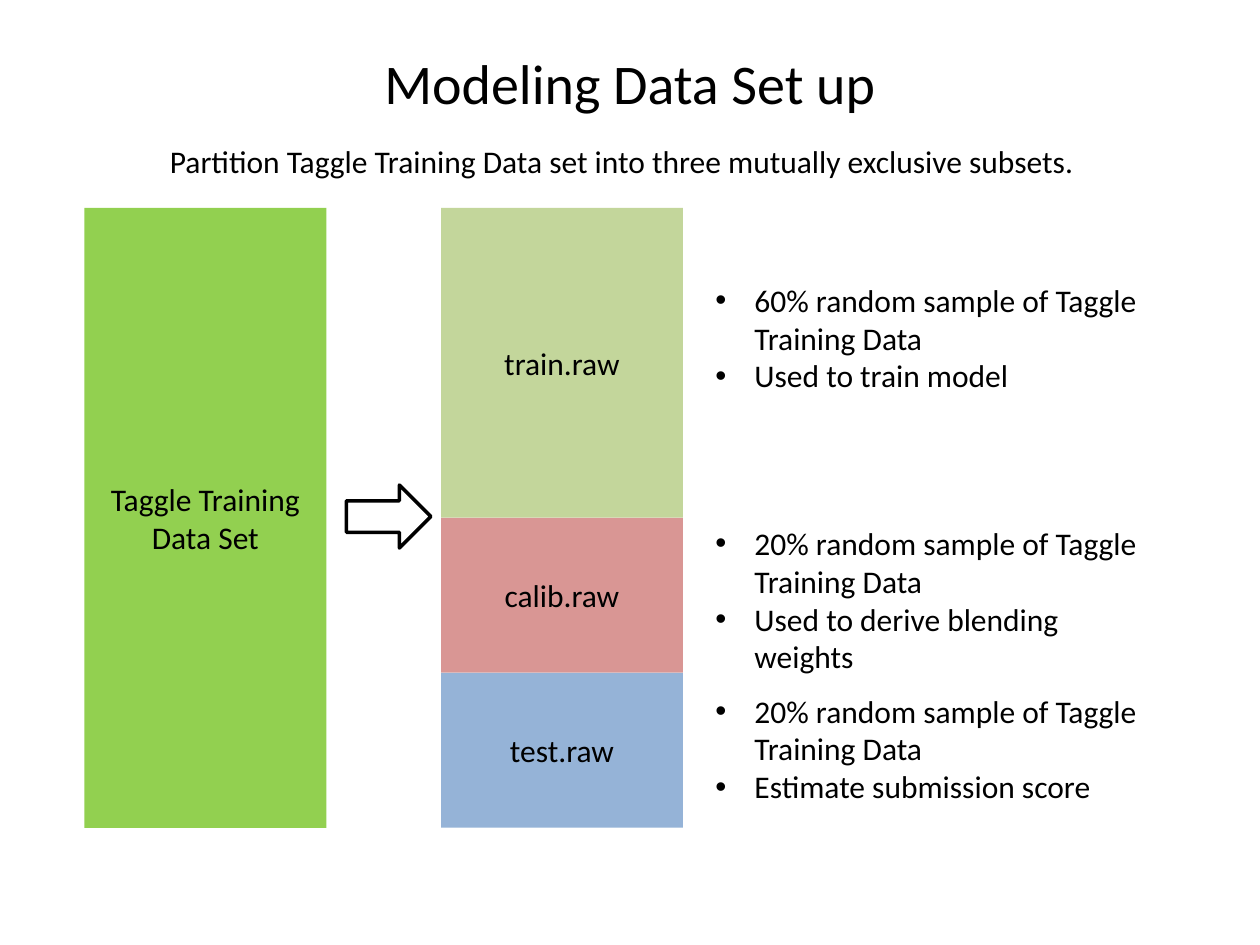
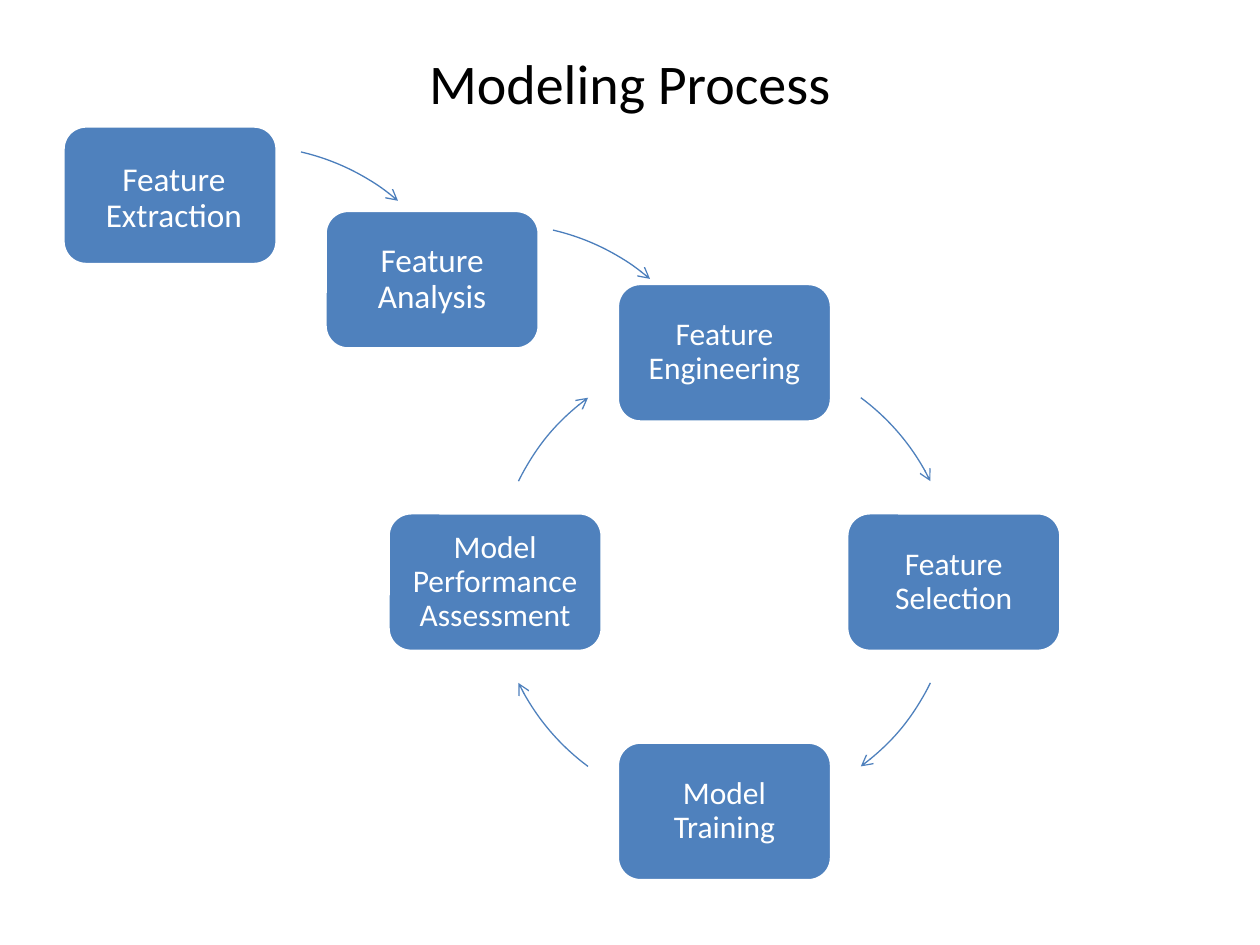
import math
from dataclasses import dataclass

import lxml.etree
import pptx
import pptx.dml.color
import pptx.enum.shapes
import pptx.enum.text
import pptx.oxml.ns
import pptx.util

PX = 9144  # EMU per px, 100 px to the inch
SHAPE = pptx.enum.shapes.MSO_SHAPE
ALIGN = pptx.enum.text.PP_ALIGN
ANCHOR = pptx.enum.text.MSO_ANCHOR

# Measures of the process diagram
STEP = (170, 110)
RADIUS = 182
SWEEP = 27.4
CYCLE_CENTER = (575, 462)


@dataclass(frozen=True)
class Theme:
    font: str = "Calibri"
    ink: str = "000000"
    paper: str = "FFFFFF"
    source: str = "92D050"
    train: str = "C3D69B"
    calib: str = "D99694"
    test: str = "95B3D7"
    step: str = "4F81BD"
    lead_arc: str = "4B7EBC"
    title_size: int = 32
    body_size: int = 18
    lead_size: int = 19


class Deck:
    """Holds the theme and the slide being drawn."""

    def __init__(self, theme):
        self.theme = theme
        self.file = pptx.Presentation()
        self.file.slide_width = 1000 * PX
        self.file.slide_height = 750 * PX
        self.slide = None

    def color(self, code):
        return pptx.dml.color.RGBColor.from_string(code)

    def add_words(self, paragraph, words, size=None, color=None, align=None):
        run = paragraph.add_run()
        run.text = words
        run.font.name = self.theme.font
        run.font.size = pptx.util.Pt(size or self.theme.body_size)
        run.font.color.rgb = self.color(color or self.theme.ink)
        paragraph.alignment = align

    def start(self, title):
        self.slide = self.file.slides.add_slide(self.file.slide_layouts[5])
        heading = self.slide.shapes.title
        heading.left, heading.top, heading.width, heading.height = (
            n * PX for n in (50, 30, 900, 70))
        heading.text_frame.vertical_anchor = ANCHOR.MIDDLE
        self.add_words(heading.text_frame.paragraphs[0], title,
                       self.theme.title_size, align=ALIGN.CENTER)

    def shape(self, kind, box, fill=None, line=None, weight=1):
        part = self.slide.shapes.add_shape(kind, *(round(n) * PX for n in box))
        part.shadow.inherit = False
        if fill:
            part.fill.solid()
            part.fill.fore_color.rgb = self.color(fill)
        else:
            part.fill.background()
        if line:
            part.line.color.rgb = self.color(line)
            part.line.width = pptx.util.Pt(weight)
        else:
            part.line.fill.background()
        return part

    def block(self, box, fill, label):
        part = self.shape(SHAPE.RECTANGLE, box, fill)
        part.text_frame.vertical_anchor = ANCHOR.MIDDLE
        self.add_words(part.text_frame.paragraphs[0], label, align=ALIGN.CENTER)

    def step(self, left, top, label, size=None, inset=7, nudge=0):
        part = self.shape(SHAPE.ROUNDED_RECTANGLE, (left, top, *STEP),
                          self.theme.step, self.theme.paper, 2)
        frame = part.text_frame
        frame.vertical_anchor = ANCHOR.MIDDLE
        frame.margin_left = frame.margin_top = (inset + nudge) * PX
        frame.margin_right = frame.margin_bottom = inset * PX
        paragraph = frame.paragraphs[0]
        paragraph.line_spacing = 0.9
        self.add_words(paragraph, label, size, self.theme.paper, ALIGN.CENTER)

    def arc(self, center_x, center_y, start, color):
        """Draws a clockwise arc with an arrowhead; start is in degrees."""
        part = self.shape(SHAPE.ARC, (center_x - RADIUS, center_y - RADIUS,
                                      2 * RADIUS, 2 * RADIUS), None, color, 0.75)
        for i, angle in enumerate((start, start + SWEEP)):
            part.adjustments[i] = angle % 360 * 0.6  # 60000ths over 100000
        outline = part.line.fill._xPr
        lxml.etree.SubElement(outline, pptx.oxml.ns.qn("a:tailEnd"), type="arrow")

    def text(self, box, lines, bullets=False):
        frame = self.slide.shapes.add_textbox(*(n * PX for n in box)).text_frame
        frame.word_wrap = True
        for i, line in enumerate(lines):
            paragraph = frame.add_paragraph() if i else frame.paragraphs[0]
            self.add_words(paragraph, line)
            if bullets:
                props = paragraph._p.get_or_add_pPr()
                props.set("marL", str(31 * PX))
                props.set("indent", str(-31 * PX))
                for tag, key, value in (("a:buFont", "typeface", "Arial"),
                                        ("a:buChar", "char", "•")):
                    mark = lxml.etree.SubElement(props, pptx.oxml.ns.qn(tag))
                    mark.set(key, value)


def data_setup(deck):
    theme = deck.theme
    deck.start("Modeling Data Set up")
    deck.text((125, 108, 754, 44), [
        "Partition Taggle Training Data set into three mutually exclusive subsets."])

    # Full data set, and the arrow to its partition
    top, width, height = 165, 192, 492
    deck.block((67, top, width, height), theme.source, "Taggle Training Data Set")
    deck.shape(SHAPE.RIGHT_ARROW, (275, 385, 67, 50), None, theme.ink, 2)

    # Subsets stacked by their share of the height, with notes beside them
    subsets = (
        ("train.raw", theme.train, 2, 218, "60%", "Used to train model"),
        ("calib.raw", theme.calib, 1, 411, "20%", "Used to derive blending weights"),
        ("test.raw", theme.test, 1, 544, "20%", "Estimate submission score"),
    )
    for name, fill, quarters, note_top, percent, purpose in subsets:
        subset_height = height * quarters // 4
        deck.block((350, top, width, subset_height), fill, name)
        deck.text((558, note_top, 367, 103),
                  [f"{percent} random sample of Taggle Training Data", purpose],
                  bullets=True)
        top += subset_height


def process(deck):
    theme = deck.theme
    deck.start("Modeling Process")

    # Cycle of four steps, clockwise from the top
    center_x, center_y = CYCLE_CENTER
    cycle = ("Feature Engineering", "Feature Selection", "Model Training",
             "Model Performance Assessment")
    for i, label in enumerate(cycle):
        angle = math.radians(90 * i - 90)
        deck.step(center_x + RADIUS * math.cos(angle) - STEP[0] / 2,
                  center_y + RADIUS * math.sin(angle) - STEP[1] / 2, label)
    for half_turn in (0, 180):
        for start in (-53.5, 26.1):
            deck.arc(center_x, center_y, half_turn + start, theme.step)

    # Two steps that lead into the cycle
    deck.step(50, 100, "Feature Extraction", theme.lead_size, 8, nudge=6)
    deck.step(258, 167, "Feature Analysis", theme.lead_size, 8)
    for arc_center in ((198, 298), (398, 360)):
        deck.arc(*arc_center, -77, theme.lead_arc)


def main():
    deck = Deck(Theme())
    data_setup(deck)
    process(deck)
    deck.file.save("out.pptx")


if __name__ == "__main__":
    main()
